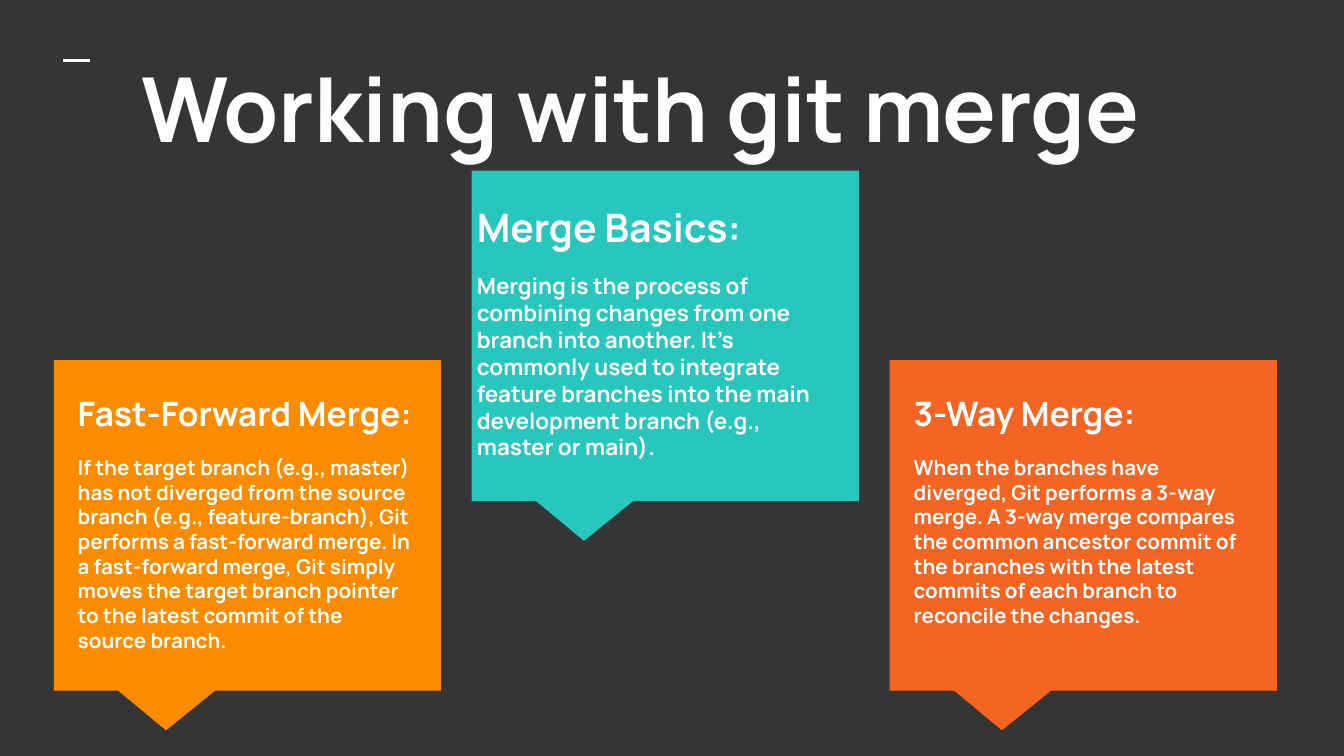
from lxml.etree import SubElement
from pptx import Presentation
from pptx.dml.color import RGBColor
from pptx.enum.shapes import MSO_CONNECTOR, MSO_SHAPE
from pptx.enum.text import MSO_ANCHOR, PP_ALIGN
from pptx.oxml.ns import qn
from pptx.util import Inches, Pt

WIDTH = 10
HEIGHT = WIDTH * 9 / 16
FONT, WHITE, DARK = "Manrope", "FFFFFF", "353535"
LEFT, PITCH = 0.4, 3.11
CARD_W, CARD_H = 2.88, 2.46
ROWS = {"upper": 1.27, "lower": 2.68}
TEXT_W, TEXT_H, TEXT_DROP = 2.71, 2.19, 0.14

CARDS = [
    dict(column=1, row="upper", color="27C7BD", shift=-0.06, sizes=(21, 12),
         heading="Merge Basics:",
         body="Merging is the process of combining changes from one branch into "
              "another. It's commonly used to integrate feature branches into the "
              "main development branch (e.g., master or main)."),
    dict(column=0, row="lower", color="FB8C00", shift=0.08, sizes=(18, 11),
         heading="Fast-Forward Merge:",
         body="If the target branch (e.g., master) has not diverged from the source "
              "branch (e.g., feature-branch), Git performs a fast-forward merge. In a "
              "fast-forward merge, Git simply moves the target branch pointer to the "
              "latest commit of the source branch."),
    dict(column=2, row="lower", color="F46524", shift=0.08, sizes=(18, 11),
         heading="3-Way Merge:",
         body="When the branches have diverged, Git performs a 3-way merge. A 3-way "
              "merge compares the common ancestor commit of the branches with the "
              "latest commits of each branch to reconcile the changes."),
]


def rgb(color):
    """Return the colour for a hex string."""
    return RGBColor.from_string(color)


def apply(target, values):
    """Set every attribute in a dict of format values."""
    for name, value in values.items():
        setattr(target, name, value)


def add_text(s, box, paragraphs, left_inset=0.1):
    """Add a wrapped text box from (text, size, spacing) paragraphs."""
    tf = s.shapes.add_textbox(*map(Inches, box)).text_frame
    inset = Inches(0.1)
    apply(tf, dict(word_wrap=True, vertical_anchor=MSO_ANCHOR.TOP,
                   margin_left=Inches(left_inset), margin_right=inset,
                   margin_top=inset, margin_bottom=inset))
    for i, (text, size, spacing) in enumerate(paragraphs):
        p = tf.add_paragraph() if i else tf.paragraphs[0]
        apply(p, dict(alignment=PP_ALIGN.LEFT, space_before=Pt(spacing),
                      space_after=Pt(spacing)))
        r = p.add_run()
        r.text = text
        apply(r.font, dict(name=FONT, size=Pt(size), bold=True))
        r.font.color.rgb = rgb(WHITE)


def add_dash(s, x, y, length):
    """Add the short white accent line."""
    sp = s.shapes.add_connector(MSO_CONNECTOR.STRAIGHT,
                                *map(Inches, (x, y, x + length, y)))
    sp.line.color.rgb = rgb(WHITE)
    sp.line.width = Pt(1.5)
    SubElement(sp._element.spPr, qn("a:effectLst"))


def add_card(s, column, row, color, shift, sizes, heading, body):
    """Add a callout in its grid cell with a heading and a body."""
    x, y = LEFT + column * PITCH, ROWS[row]
    sp = s.shapes.add_shape(MSO_SHAPE.RECTANGULAR_CALLOUT,
                            *map(Inches, (x, y, CARD_W, CARD_H)))
    sp.adjustments[0], sp.adjustments[1] = -0.21, 0.62
    sp.shadow.inherit = False
    sp.fill.solid()
    sp.fill.fore_color.rgb = rgb(color)
    sp.line.fill.background()
    add_text(s, (x + shift, y + TEXT_DROP, TEXT_W, TEXT_H),
             [(heading, sizes[0], 0), (body, sizes[1], 12)])


def main():
    """Build the slide and save it."""
    prs = Presentation()
    apply(prs, dict(slide_width=Inches(WIDTH), slide_height=Inches(HEIGHT)))
    s = prs.slides.add_slide(prs.slide_layouts[6])
    s.background.fill.solid()
    s.background.fill.fore_color.rgb = rgb(DARK)
    add_dash(s, 0.47, 0.45, 0.2)
    add_text(s, (0.29, 0.29, 9.43, 1.12),
             [("Working with git merge", 48, 0)], left_inset=0.76)
    for card in CARDS:
        add_card(s, **card)
    prs.save("out.pptx")


if __name__ == "__main__":
    main()
